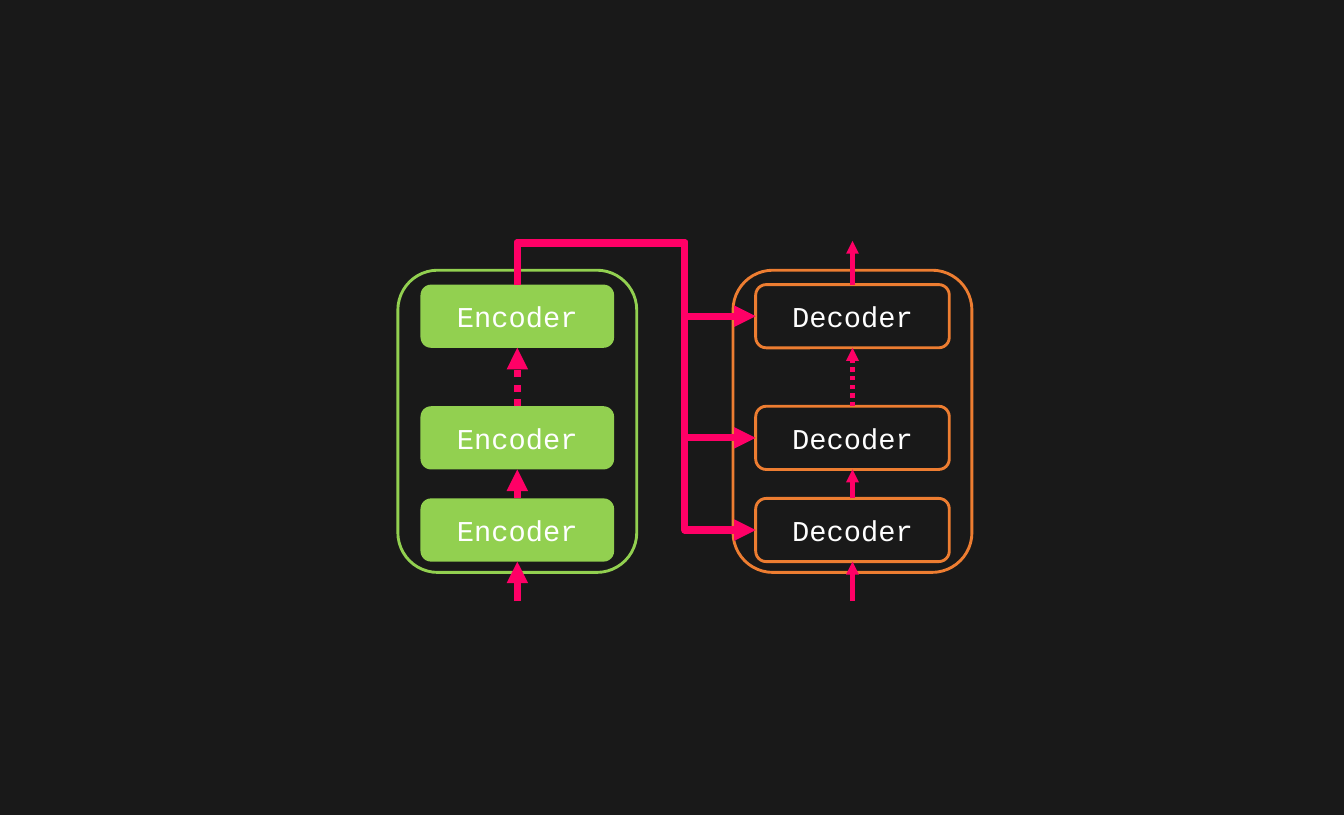
import pptx
import pptx.util
import pptx.dml.color
import pptx.enum.dml
import pptx.enum.shapes
import pptx.enum.text
import pptx.oxml.ns
import lxml.etree

Pt = pptx.util.Pt
qn = pptx.oxml.ns.qn
MSO = pptx.enum.shapes.MSO_SHAPE
CONNECTOR = pptx.enum.shapes.MSO_CONNECTOR

BACKGROUND, GREEN, ORANGE, PINK, WHITE = "191919", "92D050", "ED7D31", "FF0066", "FFFFFF"

# Stack geometry, in points
PANEL_TOP, PANEL_W, PANEL_H = 376, 332.5, 420.5
BLOCK_TOPS = (396, 565.25, 693.5)
BLOCK_W, BLOCK_H = 269.5, 88
ENCODER_X, DECODER_X = 720, 1186.5
OUTPUT_Y, INPUT_Y = 335, 836.5
BUS_Y, BUS_X = 338, 953.25


def color(hex_string):
    return pptx.dml.color.RGBColor.from_string(hex_string)


def add_round_box(s, center_x, top, width, height, fill=None, line=None, text=None):
    sp = s.shapes.add_shape(MSO.ROUNDED_RECTANGLE, Pt(center_x - width / 2), Pt(top),
                            Pt(width), Pt(height))
    sp.shadow.inherit = False
    if fill:
        sp.fill.solid()
        sp.fill.fore_color.rgb = color(fill)
    else:
        sp.fill.background()
    if line:
        sp.line.color.rgb = color(line)
        sp.line.width = Pt(4)
    else:
        sp.line.fill.background()
    if text:
        tf = sp.text_frame
        tf.text = text
        tf.vertical_anchor = pptx.enum.text.MSO_ANCHOR.MIDDLE
        p = tf.paragraphs[0]
        p.alignment = pptx.enum.text.PP_ALIGN.CENTER
        r = p.runs[0]
        r.font.name = "Courier New"
        r.font.size = Pt(40)
        r.font.color.rgb = color(WHITE)
    return sp


def add_arrow(s, kind, x1, y1, x2, y2, width, dotted=False):
    c = s.shapes.add_connector(kind, Pt(x1), Pt(y1), Pt(x2), Pt(y2))
    c.line.color.rgb = color(PINK)
    c.line.width = Pt(width)
    if dotted:
        c.line.dash_style = pptx.enum.dml.MSO_LINE.ROUND_DOT
        c.line._ln.find(qn("a:prstDash")).set("val", "sysDot")
    lxml.etree.SubElement(c.line._ln, qn("a:round"))
    lxml.etree.SubElement(c.line._ln, qn("a:tailEnd")).set("type", "triangle")
    lxml.etree.SubElement(c._element.spPr, qn("a:effectLst"))
    return c


def add_bus(s, x1, y1, x2, y2):
    """Route up to BUS_Y, across to BUS_X, down to y2 and right to x2."""
    c = add_arrow(s, CONNECTOR.ELBOW, x1, y1, x2, y2, 10)
    dx, dy = x2 - x1, y2 - y1
    # The preset starts sideways, so it is turned about its centre
    c.left, c.top = Pt((x1 + x2 - dy) / 2), Pt((y1 + y2 - dx) / 2)
    c.width, c.height = Pt(dy), Pt(dx)
    spPr = c._element.spPr
    xfrm = spPr.find(qn("a:xfrm"))
    xfrm.set("rot", str(270 * 60000))
    xfrm.set("flipH", "1")
    geom = spPr.find(qn("a:prstGeom"))
    geom.set("prst", "bentConnector4")
    av = geom.find(qn("a:avLst"))
    ratios = ((BUS_Y - y1) / dy, (BUS_X - x1) / dx)
    for i, ratio in enumerate(ratios, 1):
        gd = lxml.etree.SubElement(av, qn("a:gd"))
        gd.set("name", f"adj{i}")
        gd.set("fmla", f"val {round(ratio * 100000)}")


def add_stack(s, x, label, outline, block_style, arrow_width):
    # Panel and its three blocks
    add_round_box(s, x, PANEL_TOP, PANEL_W, PANEL_H, line=outline)
    for top in BLOCK_TOPS:
        add_round_box(s, x, top, BLOCK_W, BLOCK_H, text=label, **block_style)
    # Arrows into each block from below; the dots stand for omitted layers
    starts = BLOCK_TOPS[1:] + (INPUT_Y,)
    for i, (start, top) in enumerate(zip(starts, BLOCK_TOPS)):
        add_arrow(s, CONNECTOR.STRAIGHT, x, start, x, top + BLOCK_H, arrow_width,
                  dotted=(i == 0))


def main():
    prs = pptx.Presentation()
    prs.slide_width, prs.slide_height = Pt(1870.56), Pt(1134)
    s = prs.slides.add_slide(prs.slide_layouts[6])
    s.background.fill.solid()
    s.background.fill.fore_color.rgb = color(BACKGROUND)

    add_stack(s, ENCODER_X, "Encoder", GREEN, {"fill": GREEN}, 10)
    add_stack(s, DECODER_X, "Decoder", ORANGE, {"line": ORANGE}, 6)

    # Encoder output feeds every decoder
    for top in BLOCK_TOPS:
        add_bus(s, ENCODER_X, BLOCK_TOPS[0], DECODER_X - BLOCK_W / 2, top + BLOCK_H / 2)

    # Decoder output
    add_arrow(s, CONNECTOR.STRAIGHT, DECODER_X, BLOCK_TOPS[0], DECODER_X, OUTPUT_Y, 6)

    prs.save("out.pptx")


main()
